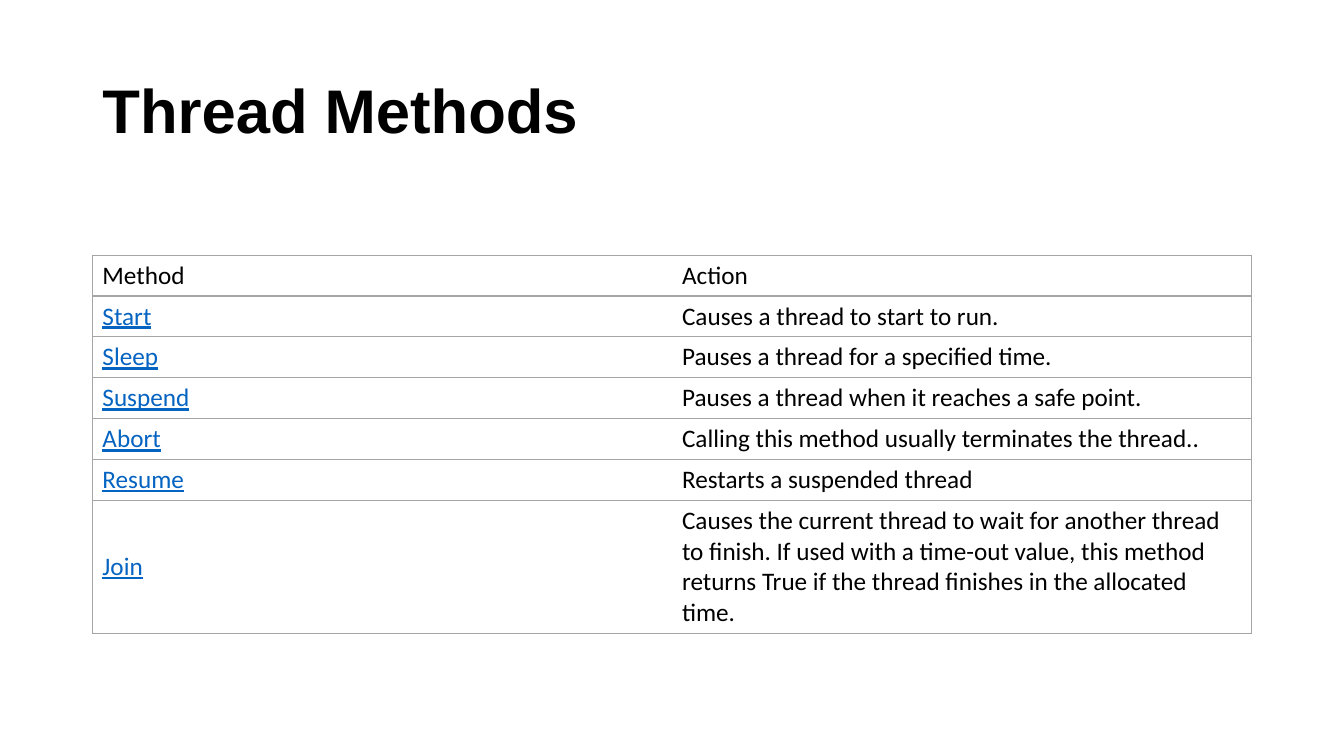
from dataclasses import dataclass

from lxml.etree import SubElement
from pptx import Presentation
from pptx.dml.color import RGBColor
from pptx.enum.text import MSO_ANCHOR, PP_ALIGN
from pptx.oxml.ns import qn
from pptx.util import Pt


@dataclass(frozen=True)
class Theme:
    text: str = "000000"
    link: str = "0563C1"
    border: str = "A5A5A5"
    background: str = "FFFFFF"
    title_font: str = "Arial"
    body_font: str = "Calibri"
    title_size: int = 44
    body_size: int = 18


THEME = Theme()
LEFT, WIDTH = 66, 828
ROW_HEIGHT, LAST_ROW_HEIGHT = 29.2, 95
METHODS = [
    ("Method", "Action"),
    ("Start", "Causes a thread to start to run."),
    ("Sleep", "Pauses a thread for a specified time."),
    ("Suspend", "Pauses a thread when it reaches a safe point."),
    ("Abort", "Calling this method usually terminates the thread.."),
    ("Resume", "Restarts a suspended thread"),
    ("Join", "Causes the current thread to wait for another thread to finish. "
             "If used with a time-out value, this method returns True if the "
             "thread finishes in the allocated time."),
]


def write_text(text_frame, text, *, font=THEME.body_font, size=THEME.body_size,
               color=THEME.text, bold=False, underline=False, line_spacing=1.0):
    text_frame.word_wrap = True
    paragraph = text_frame.paragraphs[0]
    paragraph.alignment = PP_ALIGN.LEFT
    paragraph.line_spacing = line_spacing
    run = paragraph.add_run()
    run.text = text
    run.font.name = font
    run.font.size = Pt(size)
    run.font.bold = bold
    run.font.underline = underline
    run.font.color.rgb = RGBColor.from_string(color)


def set_borders(cell, visible_sides):
    properties = cell._tc.get_or_add_tcPr()
    for side in "LRTB":
        line = SubElement(properties, qn(f"a:ln{side}"), w=str(Pt(1)))
        if side in visible_sides:
            fill = SubElement(line, qn("a:solidFill"))
            SubElement(fill, qn("a:srgbClr"), val=THEME.border)
        else:
            SubElement(line, qn("a:noFill"))


def add_title(slide, text):
    title = slide.shapes.title
    title.left, title.top = Pt(LEFT), Pt(28.8)
    title.width, title.height = Pt(WIDTH), Pt(104.4)
    title.text_frame.vertical_anchor = MSO_ANCHOR.MIDDLE
    write_text(title.text_frame, text, font=THEME.title_font,
               size=THEME.title_size, bold=True, line_spacing=0.9)


def add_method_table(slide, rows):
    heights = [ROW_HEIGHT] * (len(rows) - 1) + [LAST_ROW_HEIGHT]
    table = slide.shapes.add_table(len(rows), 2, Pt(LEFT), Pt(182.2),
                                   Pt(WIDTH), Pt(sum(heights))).table
    table.first_row = False
    table.horz_banding = False
    for row_index, (texts, height) in enumerate(zip(rows, heights)):
        table.rows[row_index].height = Pt(height)
        for column_index, text in enumerate(texts):
            cell = table.cell(row_index, column_index)
            cell.vertical_anchor = MSO_ANCHOR.MIDDLE
            set_borders(cell, "LTB" if column_index == 0 else "RTB")
            cell.fill.solid()
            cell.fill.fore_color.rgb = RGBColor.from_string(THEME.background)
            is_link = row_index > 0 and column_index == 0
            write_text(cell.text_frame, text, underline=is_link,
                       color=THEME.link if is_link else THEME.text)


def main():
    presentation = Presentation()
    presentation.slide_width, presentation.slide_height = Pt(960), Pt(540)
    slide = presentation.slides.add_slide(presentation.slide_layouts[5])
    add_title(slide, "Thread Methods")
    add_method_table(slide, METHODS)
    presentation.save("out.pptx")


if __name__ == "__main__":
    main()
